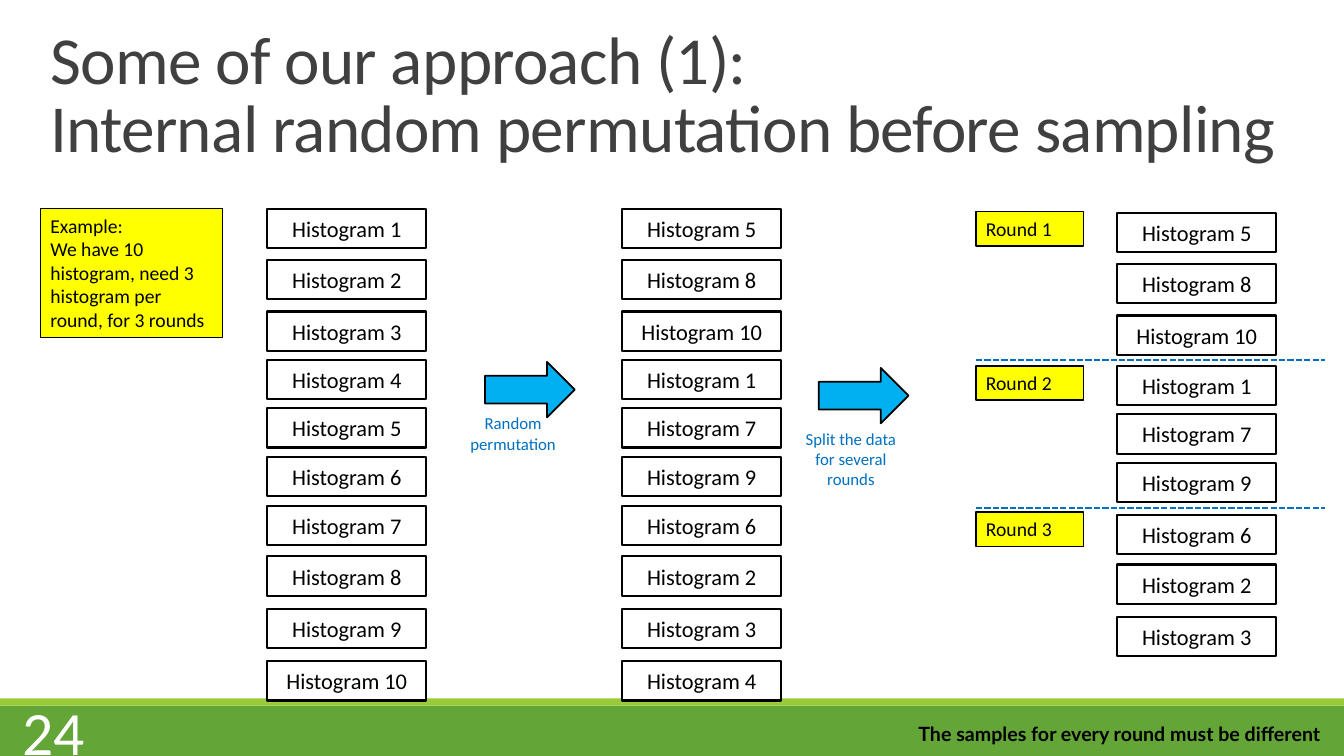
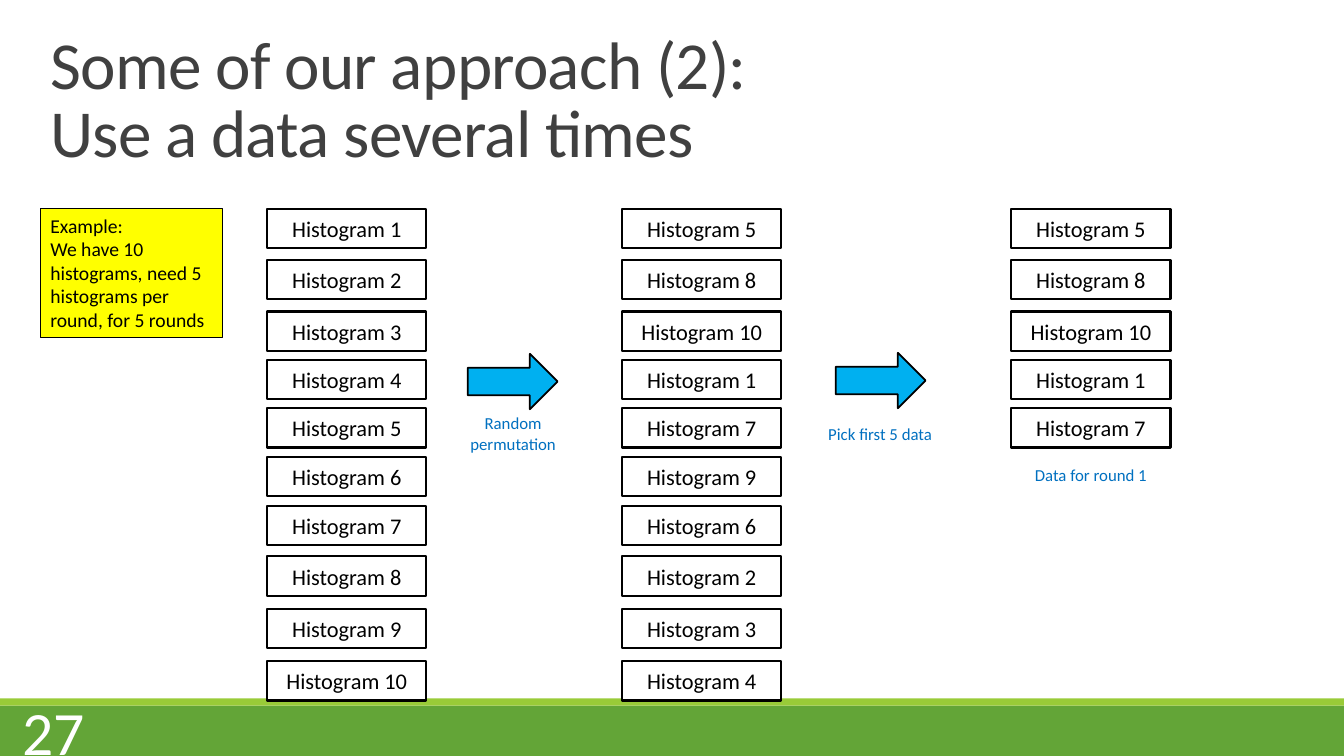
from dataclasses import dataclass

from lxml.etree import SubElement
from pptx import Presentation
from pptx.dml.color import RGBColor
from pptx.enum.dml import MSO_LINE
from pptx.enum.shapes import MSO_CONNECTOR, MSO_SHAPE
from pptx.enum.text import MSO_ANCHOR, PP_ALIGN
from pptx.oxml.ns import qn
from pptx.util import Inches, Pt


@dataclass(frozen=True)
class Theme:
    font: str = "Calibri"
    footer_font: str = "Lato"
    band: str = "63A537"
    stripe: str = "99CB38"
    title: str = "404040"
    ink: str = "000000"
    paper: str = "FFFFFF"
    note: str = "FFFF00"
    arrow: str = "00B0F0"
    accent: str = "0070C0"
    title_size: int = 48
    number_size: int = 44
    item_size: int = 16
    note_size: int = 14
    caption_size: int = 12


theme = Theme()


def add_block(page, preset, at, fill, line_width=0):
    """Add a filled preset shape, outlined when a line width is given."""
    block = page.shapes.add_shape(preset, *map(Inches, at))
    block.shadow.inherit = False
    block.fill.solid()
    block.fill.fore_color.rgb = RGBColor.from_string(fill)
    if line_width:
        block.line.color.rgb = RGBColor.from_string(theme.ink)
        block.line.width = Pt(line_width)
    else:
        block.line.fill.background()
    return block


def write(box, lines, size, color=theme.ink, align=PP_ALIGN.LEFT,
          anchor=MSO_ANCHOR.TOP, font=theme.font, bold=False):
    """Write one paragraph per line of text into a box."""
    frame = box.text_frame
    frame.word_wrap = True
    frame.vertical_anchor = anchor
    for index, line in enumerate(lines):
        para = frame.add_paragraph() if index else frame.paragraphs[0]
        para.alignment = align
        span = para.add_run()
        span.text = line
        span.font.name = font
        span.font.size = Pt(size)
        span.font.bold = bold
        span.font.color.rgb = RGBColor.from_string(color)


# Histogram columns: shared tops and orders
ITEM_WIDTH, ITEM_HEIGHT = 1.58, 0.39
FULL_TOPS = [2.07, 2.58, 3.09, 3.57, 4.05, 4.53, 5.02, 5.52, 6.04, 6.56]
ROUND_TOPS = [2.11, 2.62, 3.13, 3.63, 4.11, 4.59, 5.11, 5.60, 6.12]
ORIGINAL_ORDER = range(1, 11)
SHUFFLED_ORDER = [5, 8, 10, 1, 7, 9, 6, 2, 3, 4]
PERMUTATION_CAPTION = ("Random permutation", (4.41, 4.05, 1.36, 0.5))

# What differs from slide to slide
slides = [
    {
        "number": "24",
        "title": ["Some of our approach (1):",
                  "Internal random permutation before sampling"],
        "title_at": (0.4, 0.11, 12.53, 1.59),
        "example": "We have 10 histogram, need 3 histogram per round, for 3 rounds",
        "result": (11.08, ROUND_TOPS, SHUFFLED_ORDER[:9]),
        "arrows": [(4.81, 3.59), (8.12, 3.65)],
        "captions": [
            PERMUTATION_CAPTION,
            ("Split the data for several rounds", (7.88, 4.2, 1.12, 0.71)),
        ],
        "round_tops": [2.1, 3.63, 5.08],
        "divider_tops": [3.57, 5.04],
        "footer": "The samples for every round must be different",
    },
    {
        "number": "27",
        "title": ["Some of our approach (2):", "Use a data several times"],
        "title_at": (0.4, 0.16, 11, 1.59),
        "example": "We have 10 histograms, need 5 histograms per round, for 5 rounds",
        "result": (10.03, FULL_TOPS, SHUFFLED_ORDER[:5]),
        "arrows": [(4.64, 3.51), (8.29, 3.5)],
        "captions": [
            PERMUTATION_CAPTION,
            ("Pick first 5 data", (8.05, 4.15, 1.36, 0.3)),
            ("Data for round 1", (10.14, 4.56, 1.36, 0.3)),
        ],
        "round_tops": [],
        "divider_tops": [],
        "footer": "",
    },
]

deck = Presentation()
deck.slide_width = Inches(13.33)
deck.slide_height = Inches(7.5)

for content in slides:
    page = deck.slides.add_slide(deck.slide_layouts[6])

    # Bottom bands and page number
    add_block(page, MSO_SHAPE.RECTANGLE, (0, 7, 13.33, 0.5), theme.band)
    add_block(page, MSO_SHAPE.RECTANGLE, (0, 6.93, 13.33, 0.07), theme.stripe)
    number = page.shapes.add_textbox(*map(Inches, (0, 7.05, 0.94, 0.4)))
    write(number, [content["number"]], theme.number_size, theme.paper,
          PP_ALIGN.RIGHT, MSO_ANCHOR.MIDDLE)

    # Title
    title = page.shapes.add_textbox(*map(Inches, content["title_at"]))
    write(title, content["title"], theme.title_size, theme.title,
          anchor=MSO_ANCHOR.BOTTOM)
    for para in title.text_frame.paragraphs:
        para.line_spacing = 0.85
        for span in para.runs:
            span.font._element.set("spc", "-50")

    # Example note
    example = add_block(page, MSO_SHAPE.RECTANGLE, (0.4, 2.07, 1.81, 1.28),
                        theme.note, 1)
    write(example, ["Example:", content["example"]], theme.note_size)

    # Histogram columns
    columns = [(2.65, FULL_TOPS, ORIGINAL_ORDER),
               (6.17, FULL_TOPS, SHUFFLED_ORDER),
               content["result"]]
    for left, tops, order in columns:
        for top, histogram in zip(tops, order):
            item = add_block(page, MSO_SHAPE.RECTANGLE,
                             (left, top, ITEM_WIDTH, ITEM_HEIGHT), theme.paper, 1.5)
            write(item, [f"Histogram {histogram}"], theme.item_size,
                  align=PP_ALIGN.CENTER, anchor=MSO_ANCHOR.MIDDLE)

    # Arrows and captions
    for left, top in content["arrows"]:
        add_block(page, MSO_SHAPE.RIGHT_ARROW, (left, top, 0.89, 0.55),
                  theme.arrow, 1.25)
    for text, at in content["captions"]:
        caption = page.shapes.add_textbox(*map(Inches, at))
        write(caption, [text], theme.caption_size, theme.accent, PP_ALIGN.CENTER)

    # Round labels and dashed dividers
    for index, top in enumerate(content["round_tops"], start=1):
        label = add_block(page, MSO_SHAPE.RECTANGLE, (9.68, top, 1.07, 0.34),
                          theme.note, 1)
        write(label, [f"Round {index}"], theme.note_size)
    for top in content["divider_tops"]:
        divider = page.shapes.add_connector(
            MSO_CONNECTOR.STRAIGHT, *map(Inches, (9.68, top, 13.14, top)))
        divider.line.color.rgb = RGBColor.from_string(theme.accent)
        divider.line.width = Pt(1.5)
        divider.line.dash_style = MSO_LINE.SQUARE_DOT
        SubElement(divider._element.spPr, qn("a:effectLst"))

    # Footer remark
    if content["footer"]:
        footer = page.shapes.add_textbox(*map(Inches, (9.01, 7.11, 4.32, 0.34)))
        write(footer, [content["footer"]], theme.note_size,
              font=theme.footer_font, bold=True)

deck.save("out.pptx")
